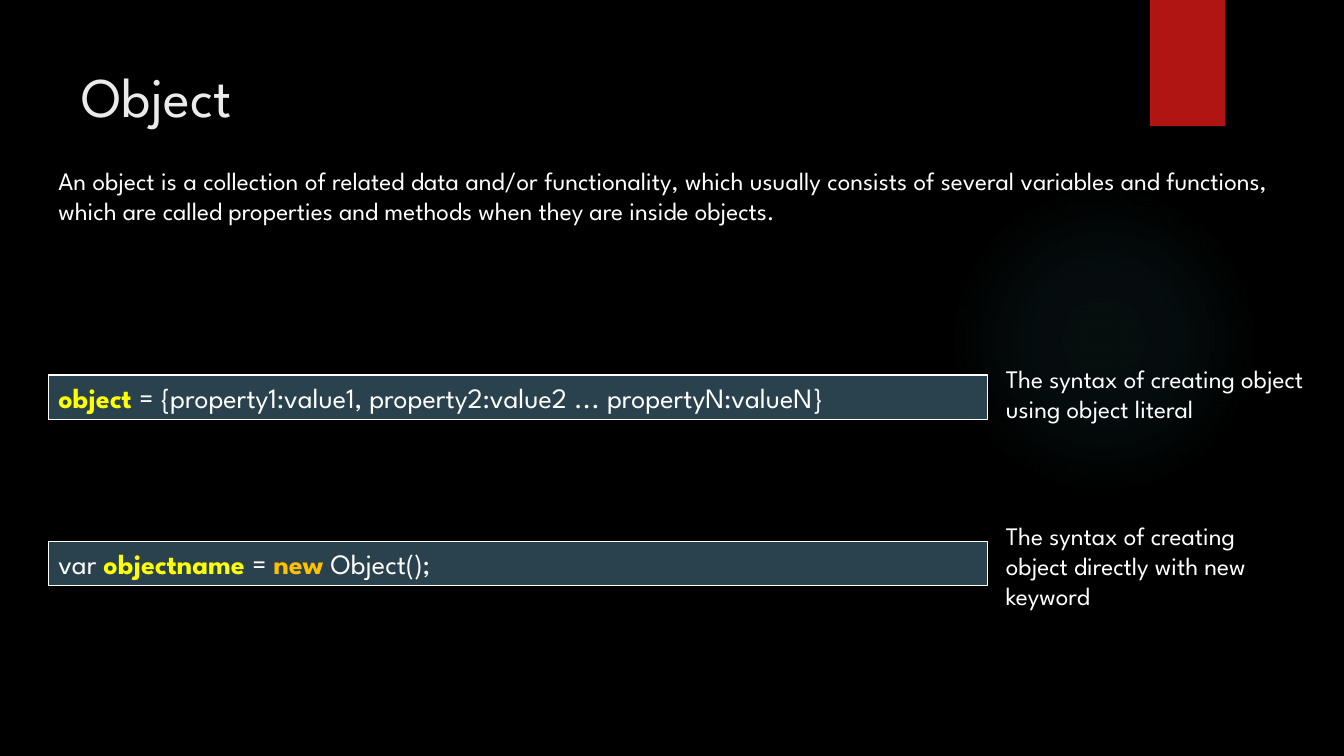
from dataclasses import dataclass

from pptx import Presentation
from pptx.dml.color import RGBColor
from pptx.enum.shapes import MSO_SHAPE
from pptx.enum.text import MSO_ANCHOR, PP_ALIGN
from pptx.oxml import parse_xml
from pptx.oxml.ns import nsdecls, qn
from pptx.util import Cm, Pt

RECT, OVAL = MSO_SHAPE.RECTANGLE, MSO_SHAPE.OVAL
LEFT, JUSTIFY = PP_ALIGN.LEFT, PP_ALIGN.JUSTIFY
TOP, MIDDLE = MSO_ANCHOR.TOP, MSO_ANCHOR.MIDDLE


@dataclass(frozen=True)
class Theme:
    font: str = "League Spartan"
    background: str = "000000"
    ribbon: str = "B01513"
    glow: str = "50B9C1"
    title: str = "EBEBEB"
    text: str = "FFFFFF"
    code_fill: str = "2A424D"
    name: str = "FFFF00"
    keyword: str = "FFC000"
    title_size: int = 40
    code_size: int = 20
    body_size: int = 18


class Slide:
    def __init__(self, prs, theme):
        self.theme = theme
        self.s = prs.slides.add_slide(prs.slide_layouts[6])
        fill = self.s.background.fill
        fill.solid()
        fill.fore_color.rgb = RGBColor.from_string(theme.background)

    def shape(self, kind, box, fill=None, line=None):
        sp = self.s.shapes.add_shape(kind, *map(Cm, box))
        sp.shadow.inherit = False
        if fill:
            sp.fill.solid()
            sp.fill.fore_color.rgb = RGBColor.from_string(fill)
        else:
            sp.fill.background()
        if line:
            sp.line.color.rgb = RGBColor.from_string(line)
            sp.line.width = Pt(1)
        else:
            sp.line.fill.background()
        return sp

    def glow(self, box, stops):
        """Circle fading outwards; stops are (position %, opacity %) pairs."""
        sp = self.shape(OVAL, box)
        stop_xml = "".join(
            f'<a:gs pos="{pos * 1000}"><a:srgbClr val="{self.theme.glow}">'
            f'<a:alpha val="{alpha * 1000}"/></a:srgbClr></a:gs>'
            for pos, alpha in stops)
        gradient = parse_xml(
            f'<a:gradFill {nsdecls("a")} rotWithShape="1"><a:gsLst>{stop_xml}</a:gsLst>'
            '<a:path path="circle"><a:fillToRect l="50000" t="50000" r="50000" b="50000"/>'
            '</a:path></a:gradFill>')
        spPr = sp._element.spPr
        spPr.replace(spPr.find(qn("a:noFill")), gradient)

    def add_runs(self, sp, runs, size, align=LEFT, anchor=TOP):
        """Fill a shape with one paragraph; runs are (text, colour, bold)."""
        tf = sp.text_frame
        tf.word_wrap = True
        tf.vertical_anchor = anchor
        p = tf.paragraphs[0]
        p.alignment = align
        for text, color, bold in runs:
            r = p.add_run()
            r.text = text
            formats = {"name": self.theme.font, "size": Pt(size), "bold": bold}
            for key, value in formats.items():
                setattr(r.font, key, value)
            r.font.color.rgb = RGBColor.from_string(color)

    def text(self, box, text, size, color, **layout):
        sp = self.s.shapes.add_textbox(*map(Cm, box))
        self.add_runs(sp, [(text, color, False)], size, **layout)

    def code(self, box, runs):
        sp = self.shape(RECT, box, self.theme.code_fill, self.theme.text)
        self.add_runs(sp, runs, self.theme.code_size, anchor=MIDDLE)


def main():
    prs = Presentation()
    prs.slide_width, prs.slide_height = Cm(33.87), Cm(19.05)
    theme = Theme()
    slide = Slide(prs, theme)

    slide.glow((23.9, 4.65, 7.82, 7.82), [(0, 7), (36, 6), (69, 0)])
    slide.shape(RECT, (28.98, 0, 1.9, 3.18), theme.ribbon)
    slide.text((1.8, 1.27, 27.33, 2.24), "Object", theme.title_size, theme.title,
               anchor=MIDDLE)
    slide.text((1.22, 4.04, 30.99, 1.8),
               "An object is a collection of related data and/or functionality, which "
               "usually consists of several variables and functions, which are called "
               "properties and methods when they are inside objects.",
               theme.body_size, theme.text, align=JUSTIFY)

    literal = [("object ", theme.name, True),
               ("= {property1:value1, property2:value2 ... propertyN:valueN}",
                theme.text, False)]
    constructor = [("var ", theme.text, False), ("objectname ", theme.name, True),
                   ("= ", theme.text, False), ("new ", theme.keyword, True),
                   ("Object();", theme.text, False)]
    examples = [
        (9.45, literal, (25.1, 9.02, 8.33, 1.8),
         "The syntax of creating object using object literal"),
        (13.64, constructor, (25.1, 12.98, 7.44, 2.57),
         "The syntax of creating object directly with new keyword"),
    ]
    for top, runs, note_box, note in examples:
        slide.code((1.22, top, 23.67, 1.12), runs)
        slide.text(note_box, note, theme.body_size, theme.text)

    prs.save("out.pptx")


if __name__ == "__main__":
    main()
